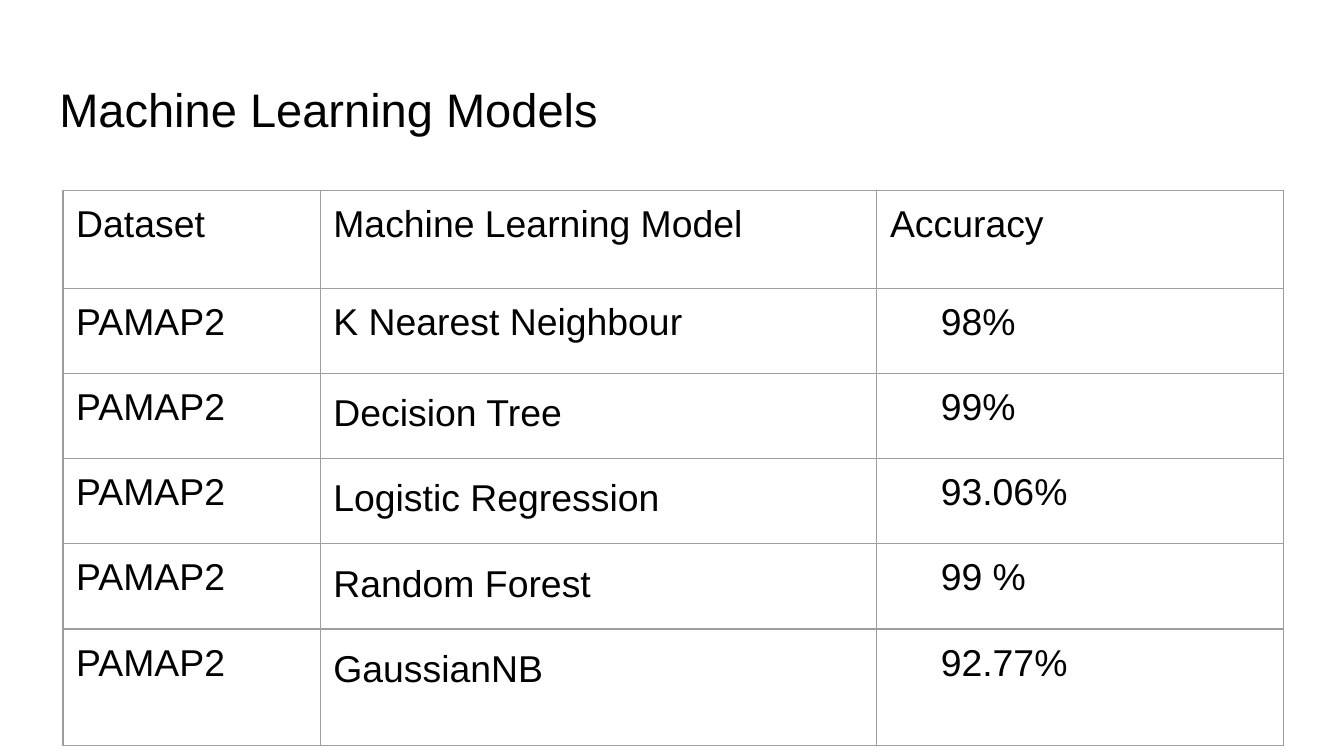
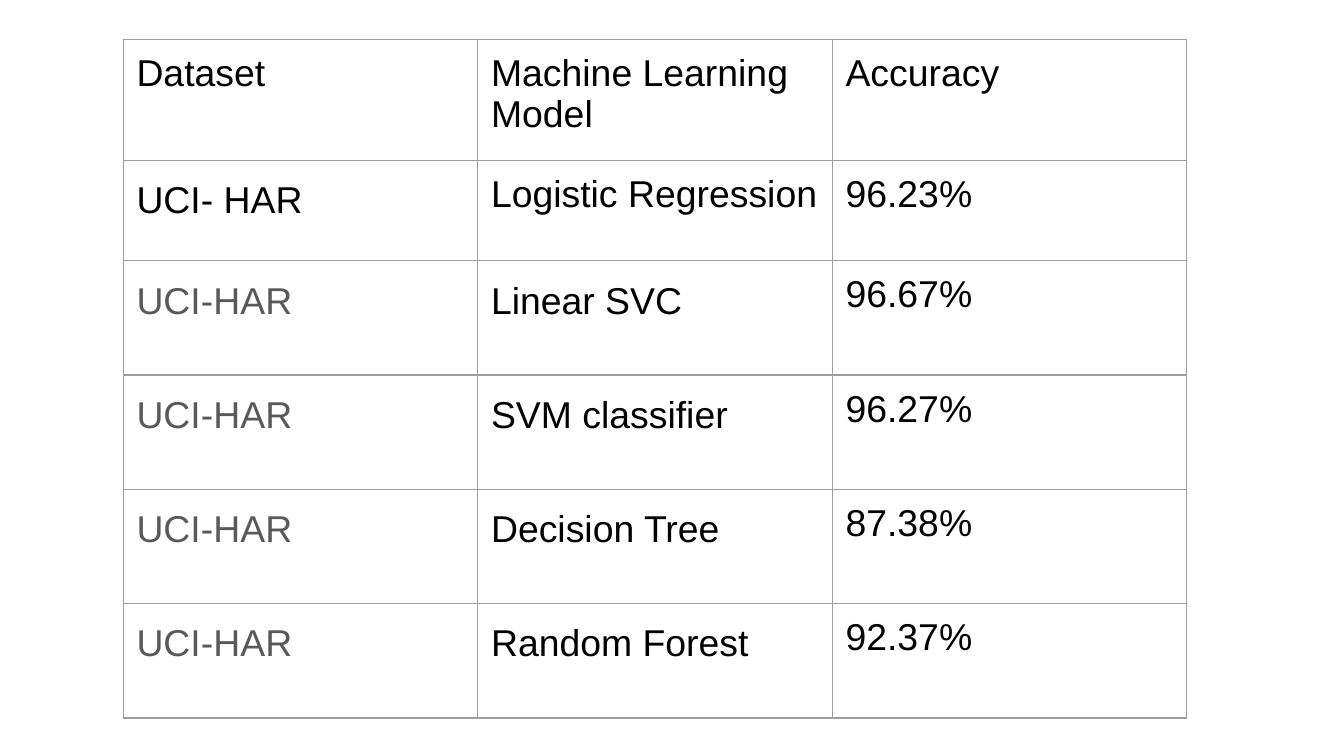
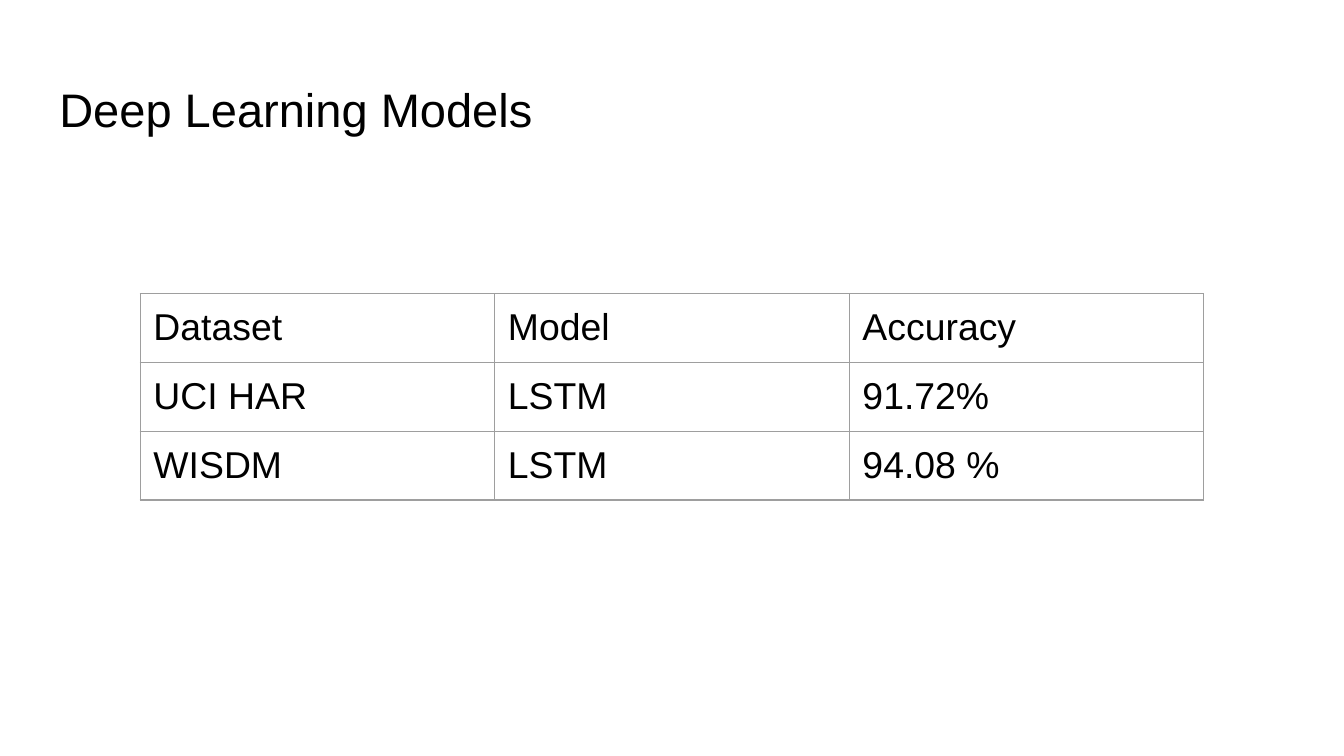
from lxml import etree
from pptx import Presentation
from pptx.dml.color import RGBColor
from pptx.enum.text import MSO_ANCHOR, PP_ALIGN
from pptx.oxml.ns import qn
from pptx.util import Cm, Pt

LEFT = PP_ALIGN.LEFT
BOTTOM = MSO_ANCHOR.BOTTOM

COLORS = {"text": "000000", "muted": "595959", "border": "9E9E9E", "page": "FFFFFF"}
FONT = "Arial"
TITLE_SIZE = 25.2
CELL_SIZE = 20
INSET = Cm(0.25)
BORDER_WIDTH = Pt(0.75)
TITLE_ONLY, BLANK = 5, 6

# Cell styles
PLAIN = {}
INDENTED = {"indent": Cm(0.96)}
LOOSE = {"spacing": 1.15}
SPACED = {"spacing": 1.15, "after": Pt(12)}
MUTED = {**SPACED, "color": "muted"}

# Table contents
PAMAP_RESULTS = [
    ("K Nearest Neighbour", "98%"),
    ("Decision Tree", "99%"),
    ("Logistic Regression", "93.06%"),
    ("Random Forest", "99 %"),
    ("GaussianNB", "92.77%"),
]
HAR_RESULTS = [
    ("Linear SVC", "96.67%"),
    ("SVM classifier", "96.27%"),
    ("Decision Tree", "87.38%"),
    ("Random Forest", "92.37%"),
]
LSTM_RESULTS = [("UCI HAR", "91.72%"), ("WISDM", "94.08 %")]


def add_span(para, text, size, color="text"):
    span = para.add_run()
    span.text = text
    span.font.name = FONT
    span.font.size = Pt(size)
    span.font.color.rgb = RGBColor.from_string(COLORS[color])


def add_page(deck, title=None):
    page = deck.slides.add_slide(deck.slide_layouts[TITLE_ONLY if title else BLANK])
    page.background.fill.solid()
    page.background.fill.fore_color.rgb = RGBColor.from_string(COLORS["page"])
    if title:
        box = page.shapes.title
        box.left, box.top, box.width, box.height = Cm(0.87), Cm(1.24), Cm(23.67), Cm(1.6)
        frame = box.text_frame
        frame.word_wrap = True
        frame.vertical_anchor = BOTTOM
        frame.margin_left = frame.margin_right = INSET
        frame.margin_top = frame.margin_bottom = INSET
        para = frame.paragraphs[0]
        para.alignment = LEFT
        add_span(para, title, TITLE_SIZE)
    return page


def add_borders(cell):
    properties = cell._tc.get_or_add_tcPr()
    for side in ("lnL", "lnR", "lnT", "lnB"):
        line = etree.SubElement(properties, qn(f"a:{side}"), w=str(BORDER_WIDTH))
        fill = etree.SubElement(line, qn("a:solidFill"))
        etree.SubElement(fill, qn("a:srgbClr"), val=COLORS["border"])


def fill_cell(cell, text, style):
    cell.margin_left = cell.margin_right = INSET
    cell.margin_top = cell.margin_bottom = INSET
    add_borders(cell)
    cell.fill.background()
    para = cell.text_frame.paragraphs[0]
    para.line_spacing = style.get("spacing")
    para.space_after = style.get("after")
    if "indent" in style:
        para._p.get_or_add_pPr().set("marL", str(style["indent"]))
    add_span(para, text, CELL_SIZE, style.get("color", "text"))


def add_results(page, left, top, widths, heights, rows):
    """Each row is a list of (text, style) pairs."""
    frame = page.shapes.add_table(len(rows), len(widths), Cm(left), Cm(top),
                                  Cm(sum(widths)), Cm(sum(heights)))
    table = frame.table
    table.first_row = table.horz_banding = False
    for column, width in zip(table.columns, widths):
        column.width = Cm(width)
    for row, height, entries in zip(table.rows, heights, rows):
        row.height = Cm(height)
        for cell, (text, style) in zip(row.cells, entries):
            fill_cell(cell, text, style)


def header(model):
    return [(text, PLAIN) for text in ("Dataset", model, "Accuracy")]


def main():
    deck = Presentation()
    deck.slide_width, deck.slide_height = Cm(25.4), Cm(14.29)

    # Machine learning on PAMAP2
    page = add_page(deck, "Machine Learning Models")
    rows = [header("Machine Learning Model")]
    for number, (model, accuracy) in enumerate(PAMAP_RESULTS):
        rows.append([("PAMAP2", PLAIN), (model, LOOSE if number else PLAIN),
                     (accuracy, INDENTED)])
    add_results(page, 1.19, 3.6, [4.86, 10.52, 7.68],
                [1.85] + [1.61] * 4 + [2.2], rows)

    # Machine learning on UCI-HAR
    page = add_page(deck)
    rows = [header("Machine Learning Model"),
            [("UCI- HAR", SPACED), ("Logistic Regression", PLAIN), ("96.23%", PLAIN)]]
    rows += [[("UCI-HAR", MUTED), (model, LOOSE), (accuracy, PLAIN)]
             for model, accuracy in HAR_RESULTS]
    add_results(page, 2.33, 0.74, [6.7] * 3, [2.29, 1.9] + [2.16] * 4, rows)

    # Deep learning
    page = add_page(deck, "Deep Learning Models")
    rows = [header("Model")]
    rows += [[(dataset, PLAIN), ("LSTM", PLAIN), (accuracy, PLAIN)]
             for dataset, accuracy in LSTM_RESULTS]
    add_results(page, 2.65, 5.55, [6.7] * 3, [1.3] * 3, rows)

    deck.save("out.pptx")


if __name__ == "__main__":
    main()
